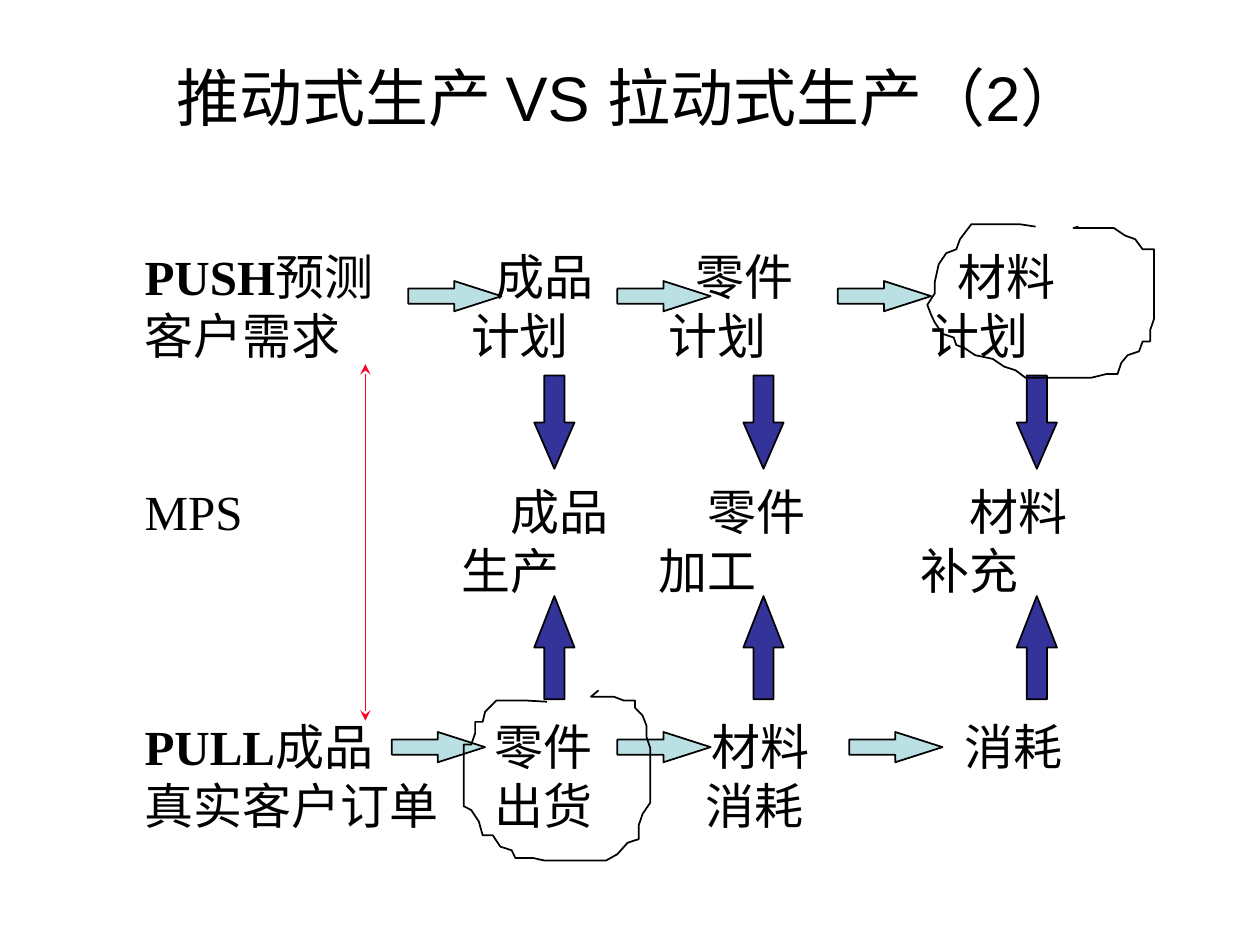
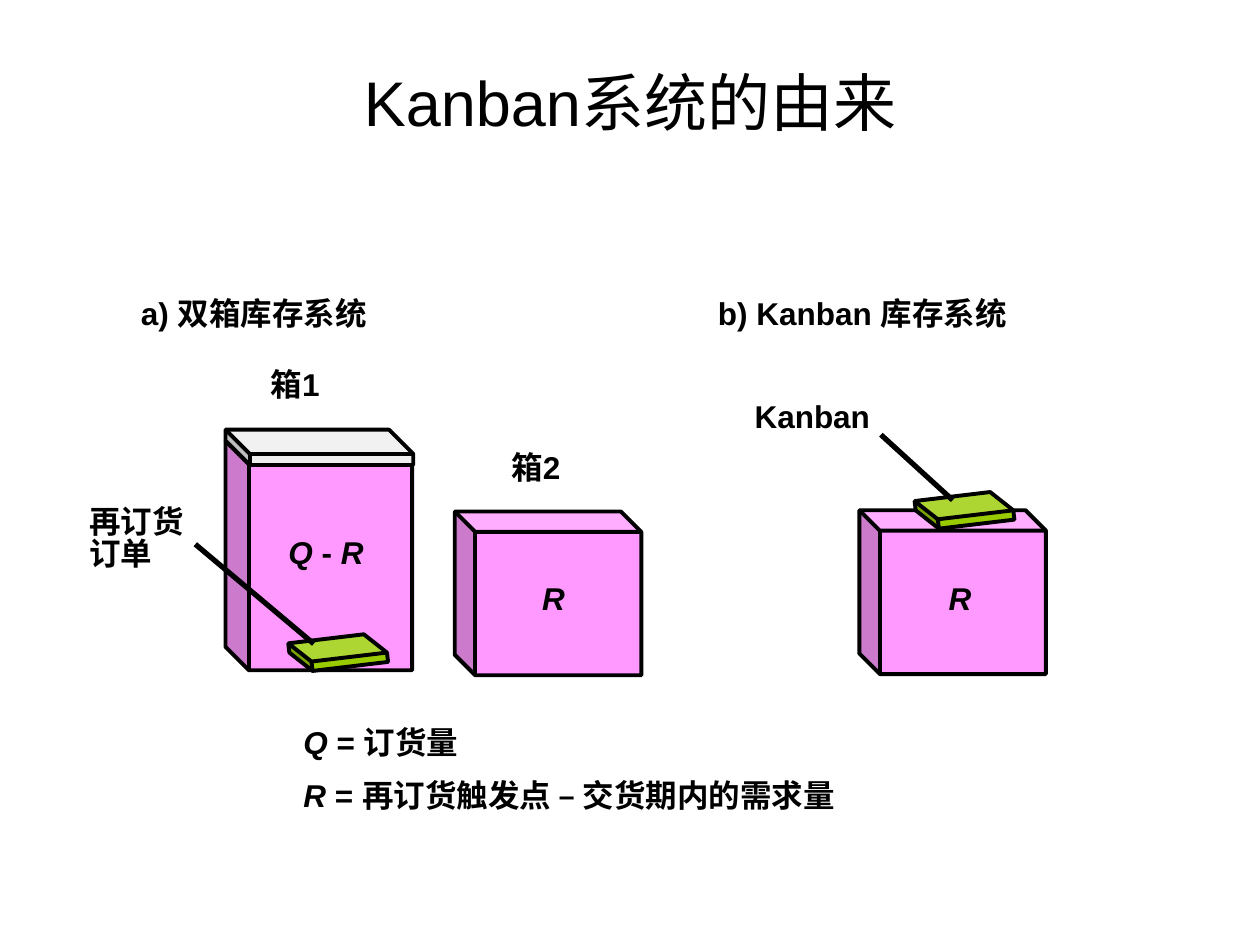
import dataclasses

import pptx
import pptx.dml.color
import pptx.enum.shapes
import pptx.enum.text
import pptx.oxml
import pptx.oxml.ns
import pptx.util

Pt = pptx.util.Pt
SHAPE = pptx.enum.shapes.MSO_SHAPE
ANCHOR = pptx.enum.text.MSO_ANCHOR
ALIGN = pptx.enum.text.PP_ALIGN


@dataclasses.dataclass(frozen=True)
class Theme:
    ink: str = "000000"
    pale_blue: str = "BBE0E3"
    navy: str = "333399"
    red: str = "FC0128"
    pink: str = "FF99FF"
    green: str = "99CC00"
    lid: str = "EEEEEE"
    sans: str = "Arial"
    serif: str = "Times New Roman"
    title_size: float = 36
    flow_size: float = 28
    label_size: float = 18
    thin: float = 1
    outline: float = 2.25
    pointer: float = 3


@dataclasses.dataclass(frozen=True)
class Box:
    left: float
    top: float
    width: float
    height: float

    def inside(self, dx, dy, width, height):
        return Box(self.left + dx, self.top + dy, width, height)

    def lengths(self):
        return [Pt(v) for v in (self.left, self.top, self.width, self.height)]


THEME = Theme()
TITLE_BOX = Box(36, 21.6, 648, 72.7)

# Flow rows: space before, spans, then (tab position, text) pairs
FLOW_ROWS = [
    (0, ["PUSH", "预测"], [(200.5, "成品"), (315, "零件"), (464.5, "材料")]),
    (0, ["", "客户需求"], [(186.5, "计划"), (299.5, "计划"), (449, "计划")]),
    (67, ["", "MPS"], [(209, "成品"), (321.5, "零件"), (471.5, "材料")]),
    (0, ["", ""], [(181, "生产"), (293.5, "加工"), (443.5, "补充")]),
    (67, ["PULL", "成品"], [(200, "零件"), (324, "材料"), (468.5, "消耗")]),
    (0, ["", "真实客户订单"], [(200, "出货"), (320.5, "消耗")]),
]

# Hand-drawn loops, as points relative to their own corner
SHIPPING_LOOP = [
    (47.5, 6.5), (35.3, 5.8), (18.7, 5.8), (12.2, 12.2), (10.8, 18), (6.5, 18),
    (6.5, 24.5), (4.3, 31), (0, 31), (0, 66.2), (4.3, 68.4), (8.6, 74.9),
    (10.8, 82.8), (16.6, 82.8), (20.9, 89.3), (27.4, 91.4), (29.5, 95.8),
    (39.6, 95.8), (46, 97.2), (81.4, 97.2), (87.8, 93.6), (93.6, 87.1),
    (100, 85), (100, 77), (102.2, 70.6), (106.6, 64.1), (106.6, 33.1),
    (104.4, 26.6), (104.4, 20.2), (102.2, 14.4), (97.9, 10), (97.9, 5.8),
    (91.4, 5.8), (85.7, 3.6), (72.7, 3.6), (77, 0),
]
MATERIAL_LOOP = [
    (61.9, 1.4), (52.6, 0), (25.2, 0), (18.7, 8.6), (16.6, 14.4), (10.8, 16.6),
    (6.5, 23), (4.3, 33.1), (4.3, 39.6), (0, 46.1), (2.2, 51.8), (4.3, 56.2),
    (8.6, 62.6), (15.1, 64.8), (16.6, 69.1), (20.9, 70.6), (27.4, 74.9),
    (37.4, 77), (43.9, 81.4), (50.4, 83.5), (56.2, 87.8), (93.6, 87.8),
    (102.2, 85.7), (108.7, 85.7), (110.9, 79.2), (114.5, 74.9), (121, 72.7),
    (123.1, 67), (127.4, 67), (127.4, 60.5), (129.6, 54), (129.6, 14.4),
    (123.1, 14.4), (118.8, 8.6), (113, 6.5), (106.6, 2.2), (83.5, 2.2),
    (86.4, 1.4),
]


# Shared helpers
def rgb(code):
    return pptx.dml.color.RGBColor.from_string(code)


def add_span(para, text, size=THEME.label_size, font=THEME.sans, bold=False, italic=False):
    span = para.add_run()
    span.text = text
    span.font.size = Pt(size)
    span.font.name = font
    span.font.bold = bold
    span.font.italic = italic
    span.font.color.rgb = rgb(THEME.ink)


def set_tabs(para, positions):
    tabs = pptx.oxml.parse_xml(f"<a:tabLst {pptx.oxml.ns.nsdecls('a')}/>")
    for position in positions:
        tab = tabs.makeelement(pptx.oxml.ns.qn("a:tab"), {"pos": str(Pt(position)), "algn": "l"})
        tabs.append(tab)
    para._p.get_or_add_pPr().append(tabs)


def add_frame(page, box):
    frame = page.shapes.add_textbox(*box.lengths()).text_frame
    frame.word_wrap = True
    return frame


def next_para(frame, index):
    return frame.add_paragraph() if index else frame.paragraphs[0]


def add_label(page, box, lines, spacing=None, tabs=()):
    """Bold label; each line is a list of (text, italic) spans."""
    frame = add_frame(page, box)
    for index, line in enumerate(lines):
        para = next_para(frame, index)
        if spacing:
            para.line_spacing = spacing
        if tabs:
            set_tabs(para, tabs)
        for text, italic in line:
            add_span(para, text, bold=True, italic=italic)


def add_preset(page, kind, box, fill, adjust, weight=THEME.thin):
    shape = page.shapes.add_shape(kind, *box.lengths())
    shape.shadow.inherit = False
    shape.fill.solid()
    shape.fill.fore_color.rgb = rgb(fill)
    shape.line.color.rgb = rgb(THEME.ink)
    shape.line.width = Pt(weight)
    for index, value in enumerate(adjust):
        shape.adjustments[index] = value
    return shape


def add_line(page, start, end, color=THEME.ink, weight=THEME.pointer, heads=False):
    ends = [Pt(v) for v in (*start, *end)]
    line = page.shapes.add_connector(pptx.enum.shapes.MSO_CONNECTOR.STRAIGHT, *ends)
    line.line.color.rgb = rgb(color)
    line.line.width = Pt(weight)
    namespace = pptx.oxml.ns.nsdecls("a")
    if heads:
        for tag in ("headEnd", "tailEnd"):
            head = pptx.oxml.parse_xml(f'<a:{tag} {namespace} type="stealth"/>')
            line.line._get_or_add_ln().append(head)
    line._element.spPr.append(pptx.oxml.parse_xml(f"<a:effectLst {namespace}/>"))


def add_page(deck, title, box=TITLE_BOX):
    page = deck.slides.add_slide(deck.slide_layouts[5])
    holder = page.shapes.title
    holder.left, holder.top, holder.width, holder.height = box.lengths()
    frame = holder.text_frame
    frame.auto_size = pptx.enum.text.MSO_AUTO_SIZE.NONE
    frame.vertical_anchor = ANCHOR.MIDDLE
    para = frame.paragraphs[0]
    para.alignment = ALIGN.CENTER
    add_span(para, title, size=THEME.title_size)
    return page


# Push and pull diagram
def draw_flow_text(page, box):
    frame = add_frame(page, box)
    for index, (space, (strong, plain), cells) in enumerate(FLOW_ROWS):
        para = next_para(frame, index)
        if space:
            para.space_before = Pt(space)
        set_tabs(para, [position for position, _ in cells])
        if strong:
            add_span(para, strong, size=THEME.flow_size, font=THEME.serif, bold=True)
        tail = plain + "".join("\t" + text for _, text in cells)
        add_span(para, tail, size=THEME.flow_size, font=THEME.serif)


def draw_flow_arrows(page, box):
    for dy, columns in ((23.1, (157.7, 277.2, 403.2)), (280.8, (148.3, 277.2, 409.7))):
        for dx in columns:
            add_preset(page, SHAPE.RIGHT_ARROW, box.inside(dx, dy, 53.3, 17.3),
                       THEME.pale_blue, (0.5, 1.56))
    for kind, dy, height, head in ((SHAPE.DOWN_ARROW, 77.1, 53.3, 1.15),
                                   (SHAPE.UP_ARROW, 203.1, 59, 1.28)):
        for dx in (229.7, 349.2, 505.4):
            add_preset(page, kind, box.inside(dx, dy, 23, height), THEME.navy, (0.5, head))
    x = box.left + 133.2
    add_line(page, (x, box.top + 70.6), (x, box.top + 274.3),
             color=THEME.red, weight=THEME.thin, heads=True)


def draw_loop(page, left, top, points):
    vertices = [(Pt(x), Pt(y)) for x, y in points]
    builder = page.shapes.build_freeform(*vertices[0])
    builder.add_line_segments(vertices[1:], close=False)
    loop = builder.convert_to_shape(Pt(left), Pt(top))
    loop.shadow.inherit = False
    loop.fill.background()
    loop.line.color.rgb = rgb(THEME.ink)
    loop.line.width = Pt(THEME.thin)


def build_push_pull(deck):
    page = add_page(deck, "推动式生产 VS 拉动式生产（2）", Box(36, 21.6, 648, 67))
    flow = Box(75.6, 137.5, 585, 343.4)
    draw_flow_text(page, flow)
    draw_flow_arrows(page, flow)
    draw_loop(page, flow.left + 189.4, flow.top + 257, SHIPPING_LOOP)
    draw_loop(page, flow.left + 454.3, flow.top - 9.4, MATERIAL_LOOP)


# Bins and cards
def draw_cube(page, box, fill, depth, rotation=0):
    cube = add_preset(page, SHAPE.CUBE, box, fill, (depth,), THEME.outline)
    cube.rotation = rotation
    cube._element.spPr.find(pptx.oxml.ns.qn("a:xfrm")).set("flipH", "1")


def draw_bin(page, box, spans, dx, dy):
    draw_cube(page, box, THEME.pink, 0.125)
    add_label(page, box.inside(dx, dy, 70, 28.8), [spans])


def draw_card(page, left, top, start, end):
    """Order card with its pointer, both ends relative to the card."""
    draw_cube(page, Box(left, top, 55.4, 17.3), THEME.green, 0.69, rotation=353.2)
    add_line(page, (left + start[0], top + start[1]), (left + end[0], top + end[1]))


def draw_two_bins(page, box):
    tall = box.inside(85, 87.8, 106.6, 131)
    draw_bin(page, tall, [("Q", True), (" - ", False), ("R", True)], 28.8, 49)
    draw_cube(page, tall.inside(0, -6.5, 107.3, 20.2), THEME.lid, 0.69)
    draw_bin(page, box.inside(216, 128.1, 106.6, 93.6), [("R", True)], 42.8, 34.8)
    add_label(page, box.inside(103.7, 41, 60, 28.8), [[("箱1", False)]])
    add_label(page, box.inside(241.2, 88.5, 60, 28.8), [[("箱2", False)]])
    add_label(page, box.inside(0, 122.4, 75, 43.9),
              [[("再订货", False)], [("订单", False)]], spacing=0.85)
    draw_card(page, box.left + 121.7, box.top + 200.1, (-54, -53.3), (13.7, 3.6))


def draw_kanban_bin(page, box):
    draw_bin(page, box.inside(67, 68.4, 106.6, 93.6), [("R", True)], 43.9, 36)
    add_label(page, box.inside(0, 0, 95, 28.8), [[("Kanban", False)]])
    draw_card(page, box.left + 99.4, box.top + 59.8, (-20.1, -34.6), (20.9, 2.8))


def build_kanban(deck):
    page = add_page(deck, "Kanban系统的由来")
    add_label(page, Box(73.4, 164.2, 593.3, 28.8),
              [[("a) 双箱库存系统\tb) Kanban 库存系统", False)]], tabs=(329.8,))
    draw_two_bins(page, Box(43.9, 164.2, 330, 222))
    draw_kanban_bin(page, Box(424.1, 223.2, 174, 162))
    add_label(page, Box(166.3, 401, 345, 67.7),
              [[("Q", True), (" = 订货量", False)],
               [("R", True), (" = 再订货触发点 – 交货期内的需求量", False)]], spacing=1.4)


def main():
    deck = pptx.Presentation()
    deck.slide_width, deck.slide_height = Pt(720), Pt(540)
    build_push_pull(deck)
    build_kanban(deck)
    deck.save("out.pptx")


if __name__ == "__main__":
    main()
